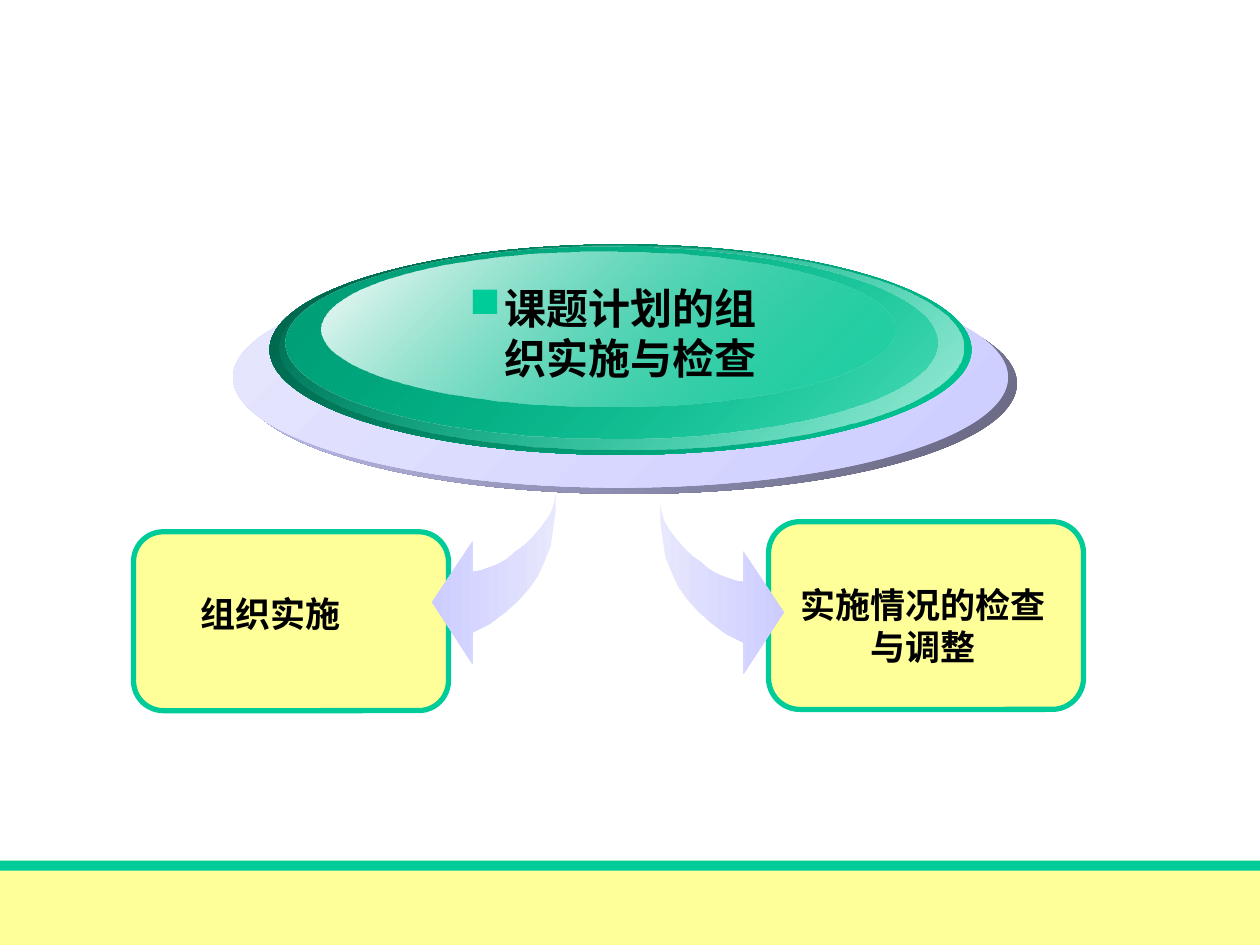
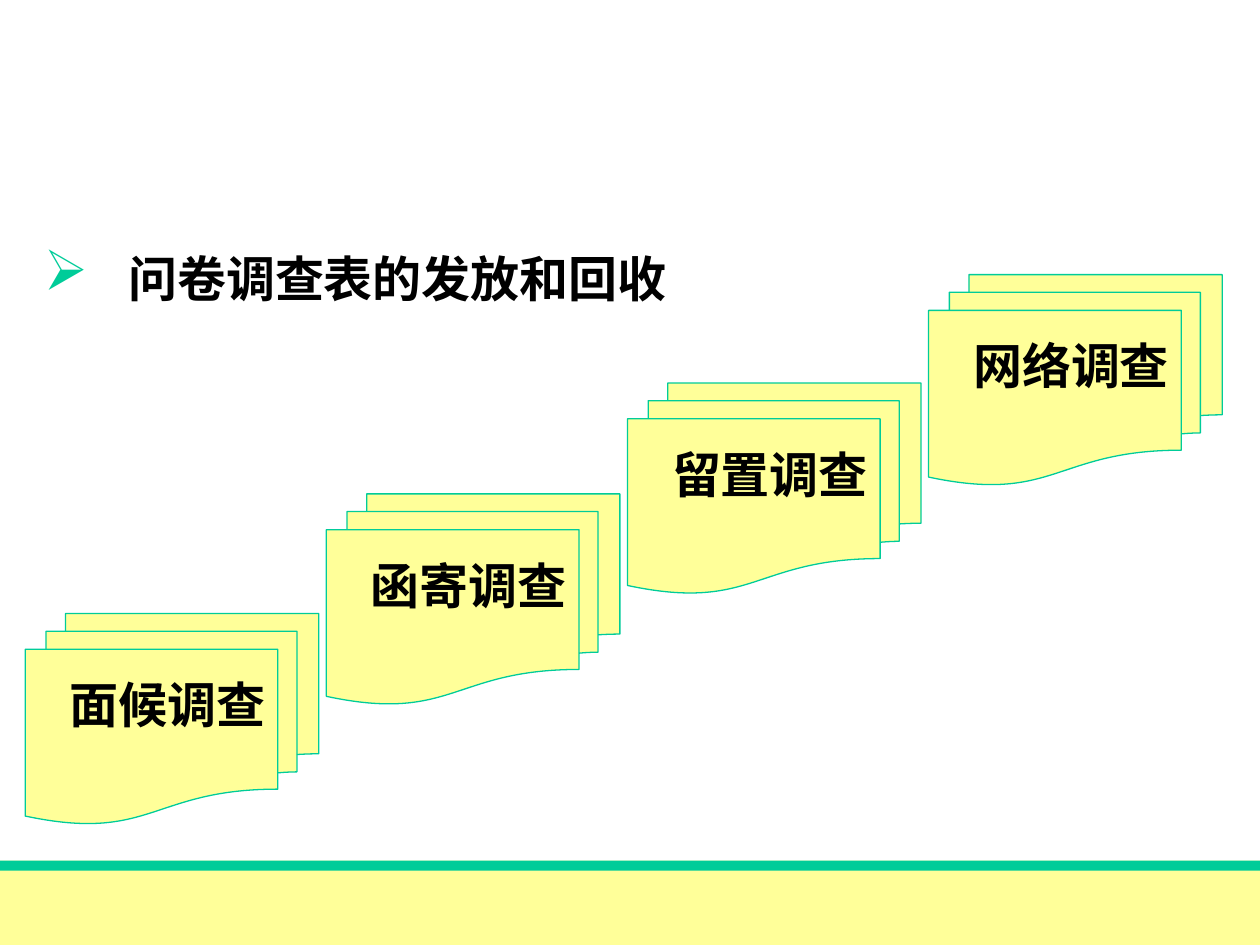
from lxml import etree
from pptx import Presentation
from pptx.dml.color import RGBColor
from pptx.enum.shapes import MSO_SHAPE
from pptx.enum.text import MSO_ANCHOR, PP_ALIGN
from pptx.oxml.ns import qn
from pptx.util import Inches, Pt

RECTANGLE, OVAL = MSO_SHAPE.RECTANGLE, MSO_SHAPE.OVAL
ROUNDED, DOCUMENTS = MSO_SHAPE.ROUNDED_RECTANGLE, MSO_SHAPE.FLOWCHART_MULTIDOCUMENT
LEFT, CENTER, RIGHT = PP_ALIGN.LEFT, PP_ALIGN.CENTER, PP_ALIGN.RIGHT
TOP, MIDDLE = MSO_ANCHOR.TOP, MSO_ANCHOR.MIDDLE

COLORS = {
    "green": "00CC99", "deep green": "00A078", "dark green": "005E46",
    "mint": "A5ECDA", "yellow": "FFFF99", "lilac": "CCCCFF",
    "pale lilac": "E7E7FE", "slate": "62627B", "white": "FEFEFE", "black": "000000",
}

BANDS = [(0.67, "yellow"), (0.08, "green")]
BAND_TOP = 6.83

PLAN = "课题计划的组织实施与检查"
PLAN_BOX = (3.59, 2.19, 2.55, 0.9)
DISC_ANGLE = 225
DISC_LAYERS = [
    ((1.92, 2.17, 6.15, 1.75), ("slate", 100), ("lilac", 100)),
    ((1.85, 2.12, 6.15, 1.75), ("lilac", 100), ("pale lilac", 100)),
    ((2.14, 1.94, 5.57, 1.67), ("green", 100), ("dark green", 100)),
    ((2.22, 1.95, 5.43, 1.62), ("mint", 100), ("green", 0)),
    ((2.27, 1.96, 5.17, 1.52), ("green", 48), ("deep green", 100)),
    ((2.55, 2, 4.55, 1.23), ("green", 38), ("white", 100)),
]
STEPS = [
    {"text": "组织实施", "card": (1.06, 4.22, 2.5, 1.42),
     "box": (1.17, 4.65, 2.23, 0.43), "align": LEFT, "indent": 0.32},
    {"text": "实施情况的检查与调整", "card": (6.1, 4.14, 2.5, 1.49),
     "box": (6.21, 4.58, 2.23, 0.77), "align": CENTER, "indent": 0},
]
ARROW_POINTS = [
    (4.41, 3.91), (4.41, 4.06), (4.39, 4.2), (4.37, 4.34), (4.32, 4.46),
    (4.27, 4.57), (4.2, 4.67), (4.11, 4.77), (4.01, 4.86), (3.89, 4.95),
    (3.75, 5.02), (3.75, 5.27), (3.43, 4.78), (3.75, 4.3), (3.75, 4.54),
    (3.81, 4.53), (3.87, 4.51), (3.95, 4.48), (4.02, 4.44), (4.09, 4.38),
    (4.16, 4.33), (4.23, 4.26), (4.29, 4.19), (4.34, 4.12), (4.38, 4.05),
    (4.4, 3.98),
]
ARROW_MIRROR = 9.65
ARROW_DROP = 0.08

SURVEY_TITLE = "问卷调查表的发放和回收"
SURVEY_TITLE_BOX = (0.25, 1.92, 6.5, 1)
SURVEYS = [("面候调查", 4.87), ("函寄调查", 3.92), ("留置调查", 3.04), ("网络调查", 2.18)]
SURVEY_LEFT, SURVEY_STEP = 0.2, 2.39
SURVEY_SIZE = (2.33, 1.67)


def rgb(name):
    return RGBColor.from_string(COLORS[name])


def fill_gradient(shape, start, end, angle):
    shape.shadow.inherit = False
    shape.line.fill.background()
    shape.fill.gradient()
    shape.fill.gradient_angle = (360 - angle) % 360
    for stop, (name, _) in zip(shape.fill.gradient_stops, (start, end)):
        stop.color.rgb = rgb(name)
    nodes = shape.element.spPr.findall(".//" + qn("a:srgbClr"))
    for node, (_, opacity) in zip(nodes, (start, end)):
        if opacity < 100:
            etree.SubElement(node, qn("a:alpha")).set("val", str(opacity * 1000))


def add_figure(slide, kind, box, fill=None, line=None, width=1):
    shape = slide.shapes.add_shape(kind, *map(Inches, box))
    shape.shadow.inherit = False
    if fill:
        shape.fill.solid()
        shape.fill.fore_color.rgb = rgb(fill)
    if line:
        shape.line.color.rgb = rgb(line)
        shape.line.width = Pt(width)
    else:
        shape.line.fill.background()
    return shape


def add_bullet(properties, bullet, scale):
    color = etree.SubElement(properties, qn("a:buClr"))
    etree.SubElement(color, qn("a:srgbClr")).set("val", COLORS["green"])
    etree.SubElement(properties, qn("a:buSzPct")).set("val", str(scale * 1000))
    etree.SubElement(properties, qn("a:buChar")).set("char", bullet)


def write_text(shape, text, size=20, font="Arial", align=LEFT, anchor=TOP,
               indent=0, bullet=None, scale=100, bottom=0.05):
    frame = shape.text_frame
    frame.word_wrap = True
    frame.vertical_anchor = anchor
    frame.margin_bottom = Inches(bottom)
    paragraph = frame.paragraphs[0]
    paragraph.alignment = align
    properties = paragraph._p.get_or_add_pPr()
    properties.set("marL", str(Inches(indent)))
    properties.set("indent", str(-Inches(indent) if bullet else 0))
    if bullet:
        add_bullet(properties, bullet, scale)
    run = paragraph.add_run()
    run.text = text
    run.font.size = Pt(size)
    run.font.name = font
    run.font.bold = True
    run.font.color.rgb = rgb("black")


def add_text(slide, text, box, **style):
    write_text(slide.shapes.add_textbox(*map(Inches, box)), text, **style)


def add_bands(slide):
    for height, color in BANDS:
        add_figure(slide, RECTANGLE, (0, BAND_TOP, 10, height), color)


def add_arrow(slide, points, angle):
    corners = [(Inches(x), Inches(y)) for x, y in points]
    builder = slide.shapes.build_freeform(*corners[0], scale=1.0)
    builder.add_line_segments(corners[1:], close=True)
    arrow = builder.convert_to_shape()
    fill_gradient(arrow, ("pale lilac", 100), ("lilac", 100), angle)


def build_plan_slide(slide):
    add_bands(slide)
    for box, start, end in DISC_LAYERS:
        fill_gradient(add_figure(slide, OVAL, box), start, end, DISC_ANGLE)
    add_text(slide, PLAN, PLAN_BOX, size=24, align=CENTER, indent=0.28, bullet="■")
    for step in STEPS:
        card = add_figure(slide, ROUNDED, step["card"], "yellow", "green", 3)
        card.adjustments[0] = 0.167
        add_text(slide, step["text"], step["box"], align=step["align"],
                 indent=step["indent"])
    mirrored = [(ARROW_MIRROR - x, y + ARROW_DROP) for x, y in ARROW_POINTS]
    add_arrow(slide, ARROW_POINTS, 180)
    add_arrow(slide, mirrored, 0)


def build_survey_slide(slide):
    add_text(slide, SURVEY_TITLE, SURVEY_TITLE_BOX, size=28, font="Times New Roman",
             indent=0.67, bullet="➢", scale=115)
    add_bands(slide)
    for index, (name, top) in enumerate(SURVEYS):
        left = SURVEY_LEFT + index * SURVEY_STEP
        stack = add_figure(slide, DOCUMENTS, (left, top, *SURVEY_SIZE),
                           "yellow", "green", 0.75)
        write_text(stack, name, size=28, font="Noto Sans CJK SC", align=RIGHT,
                   anchor=MIDDLE, bottom=0.5)


def main():
    presentation = Presentation()
    presentation.slide_width = Inches(10)
    presentation.slide_height = Inches(7.5)
    for build in (build_plan_slide, build_survey_slide):
        build(presentation.slides.add_slide(presentation.slide_layouts[6]))
    presentation.save("out.pptx")


if __name__ == "__main__":
    main()
